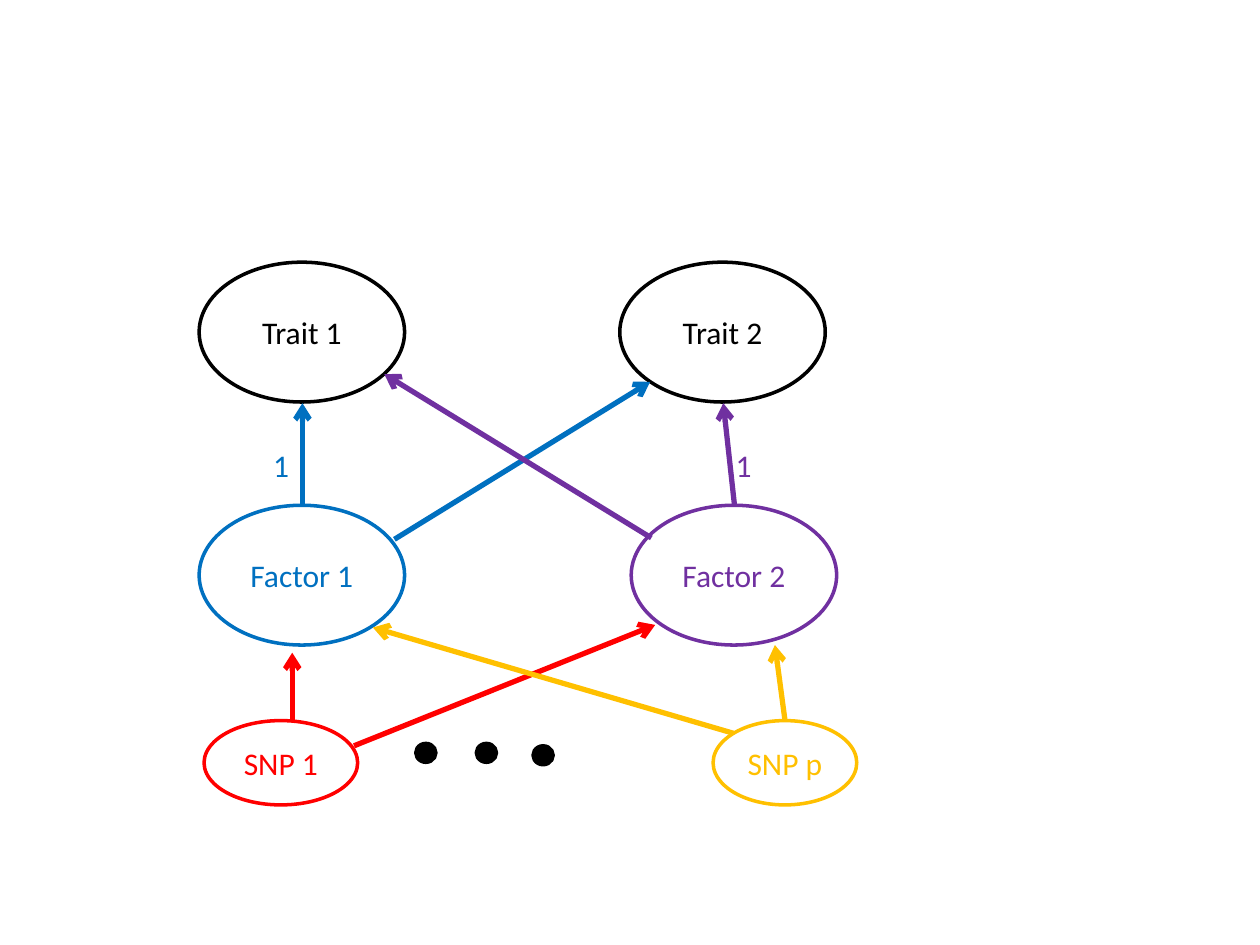
from lxml import etree
from pptx import Presentation
from pptx import util as u
from pptx.dml.color import RGBColor
from pptx.enum import shapes, text
from pptx.oxml.ns import qn

BLACK = RGBColor(0x00, 0x00, 0x00)
WHITE = RGBColor(0xFF, 0xFF, 0xFF)
BLUE = RGBColor(0x00, 0x70, 0xC0)
PURPLE = RGBColor(0x70, 0x30, 0xA0)
RED = RGBColor(0xFF, 0x00, 0x00)
GOLD = RGBColor(0xFF, 0xC0, 0x00)

FACTOR_SIZE = (117.4, 79.9)
SNP_HEIGHT = 48.2
LEFT_X = 113.8
TRAIT_Y, FACTOR_Y, SNP_Y = 149.8, 288.7, 411.8


def write(frame, words, color, align):
    line = frame.paragraphs[0]
    line.text = words
    line.alignment = align
    line.font.name = "Calibri"
    line.font.size = u.Pt(18)
    line.font.color.rgb = color


def add_ellipse(slide, left, top, width, height, fill, color):
    ellipse = slide.shapes.add_shape(
        shapes.MSO_SHAPE.OVAL, u.Pt(left), u.Pt(top), u.Pt(width), u.Pt(height))
    ellipse.shadow.inherit = False
    ellipse.fill.solid()
    ellipse.fill.fore_color.rgb = fill
    ellipse.line.color.rgb = color
    ellipse.line.width = u.Pt(2)
    return ellipse


def add_node(slide, words, left, top, size, color):
    node = add_ellipse(slide, left, top, *size, WHITE, color)
    node.text_frame.vertical_anchor = text.MSO_ANCHOR.MIDDLE
    write(node.text_frame, words, color, text.PP_ALIGN.CENTER)


def add_arrow(slide, start, end, color):
    arrow = slide.shapes.add_connector(
        shapes.MSO_CONNECTOR.STRAIGHT, *(u.Pt(value) for value in start + end))
    arrow.line.color.rgb = color
    arrow.line.width = u.Pt(3)
    etree.SubElement(arrow.line._get_or_add_ln(), qn("a:tailEnd"), type="arrow")
    etree.SubElement(arrow._element.spPr, qn("a:effectLst"))


def add_loading(slide, left, color):
    loading = slide.shapes.add_textbox(
        u.Pt(left), u.Pt(251.3), u.Pt(23.8), u.Pt(28.8))
    loading.text_frame.word_wrap = True
    write(loading.text_frame, "1", color, text.PP_ALIGN.LEFT)


def main():
    deck = Presentation()
    deck.slide_width, deck.slide_height = u.Pt(720), u.Pt(540)
    slide = deck.slides.add_slide(deck.slide_layouts[6])

    for words, left, top, color in (
            ("Trait 1", LEFT_X, TRAIT_Y, BLACK),
            ("Trait 2", 354.2, TRAIT_Y, BLACK),
            ("Factor 1", LEFT_X, FACTOR_Y, BLUE),
            ("Factor 2", 360.7, FACTOR_Y, PURPLE)):
        add_node(slide, words, left, top, FACTOR_SIZE, color)

    for start, end, color in (
            ((172.8, 288.7), (172.8, 230.4), BLUE),
            ((225.4, 308.2), (371.5, 218.2), BLUE),
            ((419.8, 289.4), (413.3, 230.4), PURPLE),
            ((372.2, 307.4), (219.6, 213.8), PURPLE)):
        add_arrow(slide, start, end, color)

    add_loading(slide, 149, BLUE)
    add_loading(slide, 413.3, PURPLE)

    add_node(slide, "SNP 1", 116.6, SNP_Y, (87.8, SNP_HEIGHT), RED)
    add_node(slide, "SNP p", 407.5, SNP_Y, (82.1, SNP_HEIGHT), GOLD)

    for left, top in ((304.6, 426.2), (272.2, 424.8), (237.6, 424.8)):
        add_ellipse(slide, left, top, 11.5, 10.8, BLACK, BLACK)

    for start, end, color in (
            ((167, 412.6), (167, 373), RED),
            ((202.3, 426.2), (374.4, 357.1), RED),
            ((448.6, 411.8), (442.8, 368.6), GOLD),
            ((419, 419), (213.1, 358.6), GOLD)):
        add_arrow(slide, start, end, color)

    deck.save("out.pptx")


if __name__ == "__main__":
    main()
